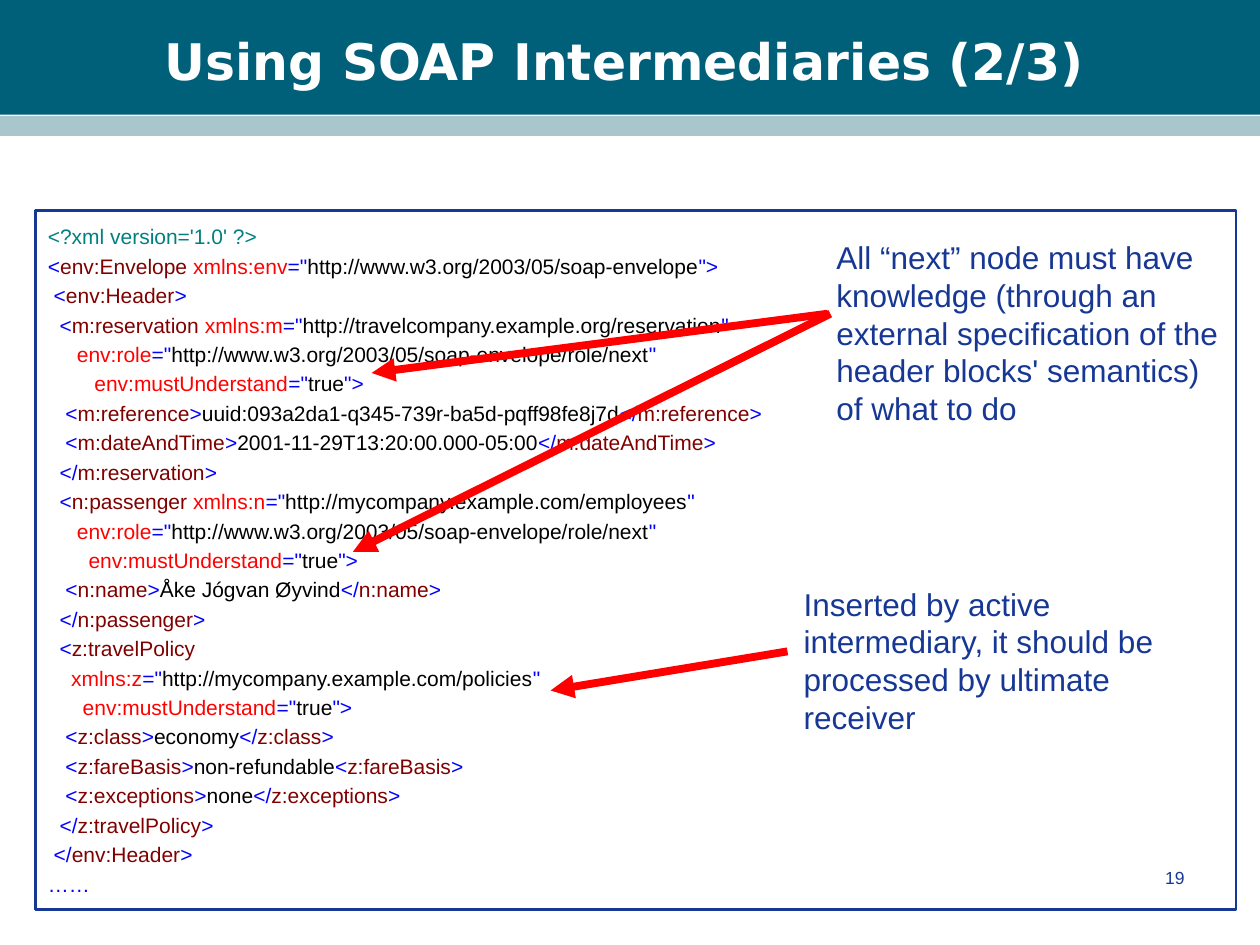
import itertools

import pptx
import pptx.dml.color
import pptx.enum.shapes
import pptx.enum.text
import pptx.oxml.ns
import pptx.util
from lxml import etree
from pptx.util import Inches

NAVY = "163794"
RED = "FF0000"
TOKEN_COLOURS = {"mark": "0000FF", "tag": "800000", "attribute": RED,
                 "value": "000000", "text": "000000", "declaration": "008080"}
SOAP_MESSAGE = [
    "<?xml version='1.0' ?>",
    '<env:Envelope xmlns:env="http://www.w3.org/2003/05/soap-envelope">',
    " <env:Header>",
    '  <m:reservation xmlns:m="http://travelcompany.example.org/reservation"',
    '     env:role="http://www.w3.org/2003/05/soap-envelope/role/next"',
    '        env:mustUnderstand="true">',
    "   <m:reference>uuid:093a2da1-q345-739r-ba5d-pqff98fe8j7d</m:reference>",
    "   <m:dateAndTime>2001-11-29T13:20:00.000-05:00</m:dateAndTime>",
    "  </m:reservation>",
    '  <n:passenger xmlns:n="http://mycompany.example.com/employees"',
    '     env:role="http://www.w3.org/2003/05/soap-envelope/role/next"',
    '       env:mustUnderstand="true">',
    "   <n:name>Åke Jógvan Øyvind</n:name>",
    "  </n:passenger>",
    "  <z:travelPolicy",
    '    xmlns:z="http://mycompany.example.com/policies"',
    '      env:mustUnderstand="true">',
    "   <z:class>economy</z:class>",
    "   <z:fareBasis>non-refundable<z:fareBasis>",
    "   <z:exceptions>none</z:exceptions>",
    "  </z:travelPolicy>",
    " </env:Header>",
    "……",
]


def rgb(colour):
    """Turn a hex string into a colour."""
    return pptx.dml.color.RGBColor.from_string(colour)


def place(shape, box):
    """Move a shape to a box of left, top, width and height in inches."""
    shape.left, shape.top, shape.width, shape.height = map(Inches, box)


def style(paragraph, size, colour=None, font="Arial", bold=False):
    """Set the font of a whole paragraph."""
    paragraph.font.size = pptx.util.Pt(size)
    paragraph.font.name = font
    paragraph.font.bold = bold
    if colour:
        paragraph.font.color.rgb = rgb(colour)


def classify(message):
    """Yield each character of an XML message with its kind of token."""
    state = "text"
    for char in message:
        kind = state
        if state == "value":
            if char == '"':
                kind, state = "mark", "attribute"
        elif char == "<":
            kind, state = "mark", "tag"
        elif char == ">":
            kind, state = "mark", "text"
        elif char == '"':
            kind, state = "mark", "value"
        elif char in "=…" or (char == "/" and state == "tag"):
            kind = "mark"
        elif char in " \n" and state == "tag":
            kind = state = "attribute"
        yield char, kind


def add_header(slide, box, heading):
    """Fill the title placeholder and lay two bands behind it."""
    left, top, width, height = box
    title = slide.shapes.title
    place(title, (left + 0.33, top + 0.17, 9.25, 0.62))
    title.text_frame.text = heading
    title.text_frame.vertical_anchor = pptx.enum.text.MSO_ANCHOR.MIDDLE
    title.text_frame.auto_size = pptx.enum.text.MSO_AUTO_SIZE.NONE
    paragraph = title.text_frame.paragraphs[0]
    paragraph.alignment = pptx.enum.text.PP_ALIGN.CENTER
    style(paragraph, 28.8, "FFFFFF", "DejaVu Sans", True)
    for offset, depth, colour in ((0, 0.91, "00607A"), (0.92, height - 0.92, "A9C6CC")):
        band = slide.shapes.add_shape(
            pptx.enum.shapes.MSO_SHAPE.RECTANGLE, Inches(left), Inches(top + offset),
            Inches(width), Inches(depth))
        band.shadow.inherit = False
        band.fill.solid()
        band.fill.fore_color.rgb = rgb(colour)
        band.line.fill.background()
        title._element.addprevious(band._element)


def add_message(slide, box, message):
    """Write the highlighted message in the framed body placeholder."""
    body = slide.placeholders[1]
    place(body, box)
    body.line.color.rgb = rgb(NAVY)
    body.line.width = pptx.util.Pt(1.5)
    frame = body.text_frame
    frame.auto_size = pptx.enum.text.MSO_AUTO_SIZE.NONE
    frame.vertical_anchor = pptx.enum.text.MSO_ANCHOR.MIDDLE
    tokens = classify("\n".join(message))
    lines = [list(group) for is_break, group in
             itertools.groupby(tokens, lambda token: token[0] == "\n") if not is_break]
    for number, line in enumerate(lines):
        paragraph = frame.add_paragraph() if number else frame.paragraphs[0]
        properties = paragraph._p.get_or_add_pPr()
        properties.set("marL", str(Inches(0.4)))
        properties.set("indent", str(Inches(-0.4)))
        etree.SubElement(properties, pptx.oxml.ns.qn("a:buNone"))
        paragraph.line_spacing = pptx.util.Pt(14.4)
        paragraph.space_before = pptx.util.Pt(2.4 if number else 0)
        style(paragraph, 12)
        if line[1][0] == "?":
            line = [(char, "declaration") for char, _ in line]
        for kind, group in itertools.groupby(line, lambda token: token[1]):
            run = paragraph.add_run()
            run.text = "".join(char for char, _ in group)
            run.font.color.rgb = rgb(TOKEN_COLOURS[kind])


def add_text(slide, box, text, size):
    """Add a wrapped navy text box and return its paragraph."""
    frame = slide.shapes.add_textbox(*map(Inches, box)).text_frame
    frame.word_wrap = True
    frame.text = text
    paragraph = frame.paragraphs[0]
    style(paragraph, size, NAVY)
    return paragraph


def add_callout(slide, box, text, arrows):
    """Add a remark with arrows given by offsets from its top left corner."""
    left, top = box[:2]
    for start_x, start_y, end_x, end_y in arrows:
        arrow = slide.shapes.add_connector(
            pptx.enum.shapes.MSO_CONNECTOR.STRAIGHT,
            Inches(left + start_x), Inches(top + start_y),
            Inches(left + end_x), Inches(top + end_y))
        arrow.line.color.rgb = rgb(RED)
        arrow.line.width = pptx.util.Pt(4.5)
        etree.SubElement(arrow.line._get_or_add_ln(), pptx.oxml.ns.qn("a:tailEnd"),
                         type="triangle")
        etree.SubElement(arrow._element.spPr, pptx.oxml.ns.qn("a:effectLst"))
    add_text(slide, box, text, 18).line_spacing = pptx.util.Pt(21.6)


def main():
    """Build the slide and save it."""
    deck = pptx.Presentation()
    deck.slide_width, deck.slide_height = Inches(10), Inches(7.5)
    slide = deck.slides.add_slide(deck.slide_layouts[1])
    add_header(slide, (0, 0, 10, 1.08), "Using SOAP Intermediaries (2/3)")
    add_message(slide, (0.28, 1.67, 9.53, 5.55), SOAP_MESSAGE)
    number = add_text(slide, (7.17, 6.83, 2.33, 0.5), "19", 10)
    number.alignment = pptx.enum.text.PP_ALIGN.RIGHT
    add_callout(
        slide, (6.54, 1.84, 3.26, 1.61),
        "All “next” node must have knowledge (through an external specification "
        "of the header blocks' semantics) of what to do",
        ((0.03, 0.65, -3.59, 1.12), (0.05, 0.65, -3.74, 2.54)))
    add_callout(
        slide, (6.28, 4.59, 3.26, 1.31),
        "Inserted by active intermediary, it should be processed by ultimate receiver",
        ((-0.03, 0.58, -1.91, 0.89),))
    deck.save("out.pptx")


if __name__ == "__main__":
    main()
